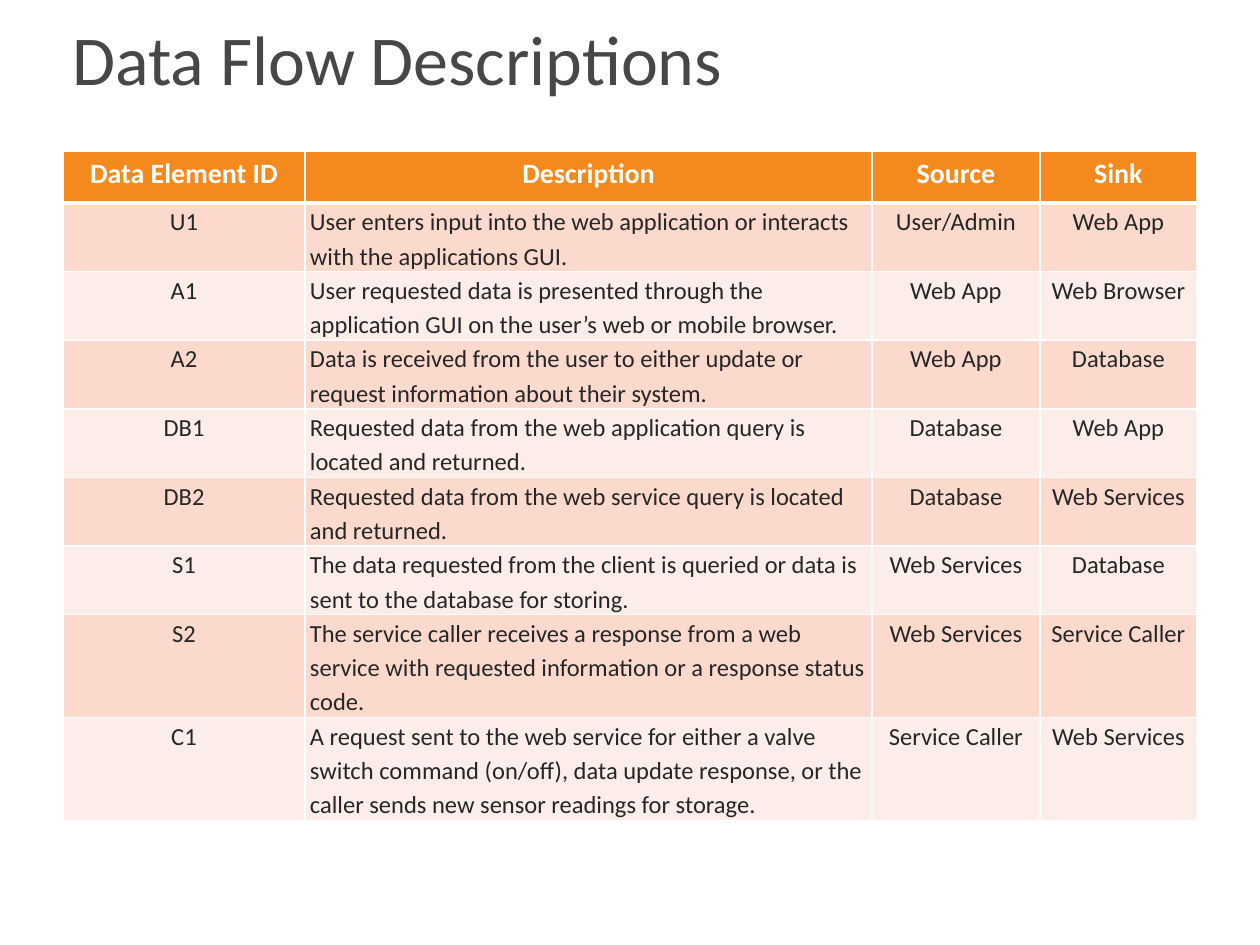
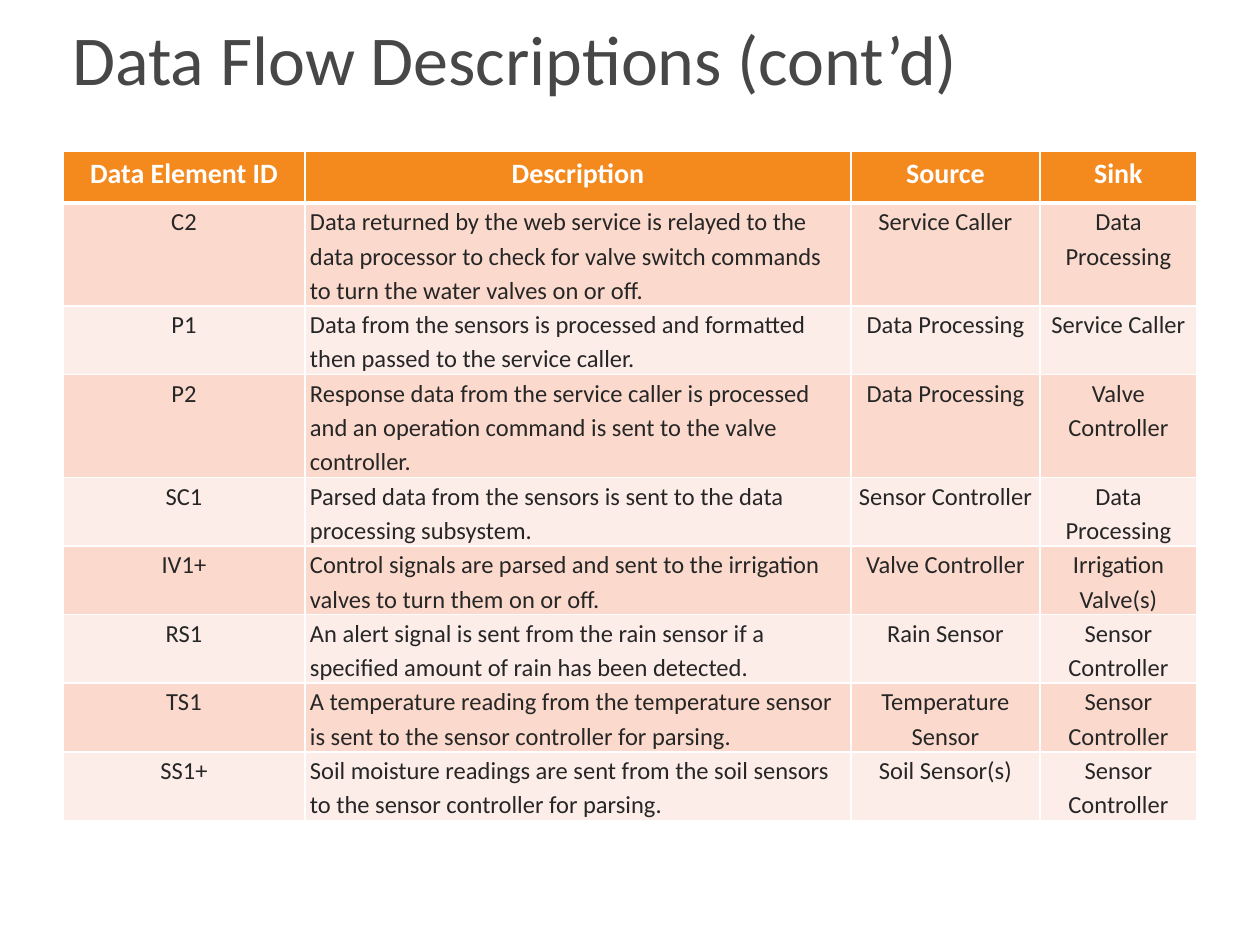
import pptx
import pptx.dml.color
import pptx.enum.text
import pptx.oxml.ns
import pptx.util
from lxml import etree

PX_PER_INCH = 126
FONT = "Calibri"
TITLE_GREY = "474747"
BODY_GREY = "262626"
WHITE = "FFFFFF"
HEADER_ORANGE = "F4891E"
ROW_BANDS = ("FBDACD", "FDEDE8")
ROW_HEIGHT = 52

ALIGN = pptx.enum.text.PP_ALIGN
ANCHOR = pptx.enum.text.MSO_ANCHOR

HEADINGS = ("Data Element ID", "Description", "Source", "Sink")
ALIGNMENTS = (ALIGN.CENTER, ALIGN.LEFT, ALIGN.CENTER, ALIGN.CENTER)

SERVER_FLOWS = [
    ("U1", "User enters input into the web application or interacts with the applications GUI.",
     "User/Admin", "Web App"),
    ("A1", "User requested data is presented through the application GUI on the user’s web or mobile browser.",
     "Web App", "Web Browser"),
    ("A2", "Data is received from the user to either update or request information about their system.",
     "Web App", "Database"),
    ("DB1", "Requested data from the web application query is located and returned.",
     "Database", "Web App"),
    ("DB2", "Requested data from the web service query is located and returned.",
     "Database", "Web Services"),
    ("S1", "The data requested from the client is queried or data is sent to the database for storing.",
     "Web Services", "Database"),
    ("S2", "The service caller receives a response from a web service with requested information "
     "or a response status code.",
     "Web Services", "Service Caller"),
    ("C1", "A request sent to the web service for either a valve switch command (on/off), "
     "data update response, or the caller sends new sensor readings for storage.",
     "Service Caller", "Web Services"),
]

CONTROLLER_FLOWS = [
    ("C2", "Data returned by the web service is relayed to the data processor to check for "
     "valve switch commands to turn the water valves on or off.",
     "Service Caller", "Data Processing"),
    ("P1", "Data from the sensors is processed and formatted then passed to the service caller.",
     "Data Processing", "Service Caller"),
    ("P2", "Response data from the service caller is processed and an operation command is sent "
     "to the valve controller.",
     "Data Processing", "Valve Controller"),
    ("SC1", "Parsed data from the sensors is sent to the data processing subsystem.",
     "Sensor Controller", "Data Processing"),
    ("IV1+", "Control signals are parsed and sent to the irrigation valves to turn them on or off.",
     "Valve Controller", "Irrigation Valve(s)"),
    ("RS1", "An alert signal is sent from the rain sensor if a specified amount of rain has been detected.",
     "Rain Sensor", "Sensor Controller"),
    ("TS1", "A temperature reading from the temperature sensor is sent to the sensor controller for parsing.",
     "Temperature Sensor", "Sensor Controller"),
    ("SS1+", "Soil moisture readings are sent from the soil sensors to the sensor controller for parsing.",
     "Soil Sensor(s)", "Sensor Controller"),
]


def px(length):
    return pptx.util.Emu(round(length * 914400 / PX_PER_INCH))


def rgb(value):
    return pptx.dml.color.RGBColor.from_string(value)


def write(frame, text, size, color, bold=False, align=ALIGN.LEFT, line_spacing=None, space_after=None):
    paragraph = frame.paragraphs[0]
    paragraph.alignment = align
    if line_spacing is not None:
        paragraph.line_spacing = line_spacing
    if space_after is not None:
        paragraph.space_after = pptx.util.Pt(space_after)
    run = paragraph.add_run()
    run.text = text
    run.font.name = FONT
    run.font.size = pptx.util.Pt(size)
    run.font.bold = bold
    run.font.color.rgb = rgb(color)


def add_title(slide, text):
    title = slide.shapes.title
    title.left, title.top, title.width, title.height = map(px, (60, 10, 1158, 95))
    frame = title.text_frame
    frame.word_wrap = True
    frame.auto_size = pptx.enum.text.MSO_AUTO_SIZE.NONE
    frame.vertical_anchor = ANCHOR.MIDDLE
    write(frame, text, 40, TITLE_GREY)


def style_cell(cell, fill, top=1, bottom=1):
    """Set the fill and white borders; top and bottom are line widths in points."""
    properties = cell._tc.get_or_add_tcPr()
    for side, width in (("L", 1), ("R", 1), ("T", top), ("B", bottom)):
        line = etree.SubElement(properties, pptx.oxml.ns.qn(f"a:ln{side}"), w=str(pptx.util.Pt(width)))
        solid = etree.SubElement(line, pptx.oxml.ns.qn("a:solidFill"))
        etree.SubElement(solid, pptx.oxml.ns.qn("a:srgbClr"), val=WHITE)
    cell.fill.solid()
    cell.fill.fore_color.rgb = rgb(fill)


def add_flow_table(slide, flows, widths):
    table = slide.shapes.add_table(
        len(flows) + 1, len(HEADINGS), px(63), px(151), px(sum(widths)), px(660)).table
    for column, width in zip(table.columns, widths):
        column.width = px(width)
    for row in table.rows:
        row.height = px(ROW_HEIGHT)
    for column, heading in enumerate(HEADINGS):
        cell = table.cell(0, column)
        style_cell(cell, HEADER_ORANGE, bottom=3)
        write(cell.text_frame, heading, 16, WHITE, bold=True, align=ALIGN.CENTER)
    for row, flow in enumerate(flows, start=1):
        for column, text in enumerate(flow):
            cell = table.cell(row, column)
            style_cell(cell, ROW_BANDS[(row - 1) % 2], top=3 if row == 1 else 1)
            cell.margin_left = cell.margin_right = px(5)
            cell.margin_top = cell.margin_bottom = 0
            write(cell.text_frame, text, 14, BODY_GREY, align=ALIGNMENTS[column],
                  line_spacing=1.15, space_after=10)


def add_flow_slide(deck, title, flows, widths):
    slide = deck.slides.add_slide(deck.slide_layouts[5])
    slide.background.fill.solid()
    slide.background.fill.fore_color.rgb = rgb(WHITE)
    add_title(slide, title)
    add_flow_table(slide, flows, widths)


def main():
    deck = pptx.Presentation()
    deck.slide_width, deck.slide_height = px(1260), px(945)
    add_flow_slide(deck, "Data Flow Descriptions", SERVER_FLOWS, (242, 567, 168, 157))
    add_flow_slide(deck, "Data Flow Descriptions (cont’d)", CONTROLLER_FLOWS, (242, 546, 189, 157))
    deck.save("out.pptx")


if __name__ == "__main__":
    main()
